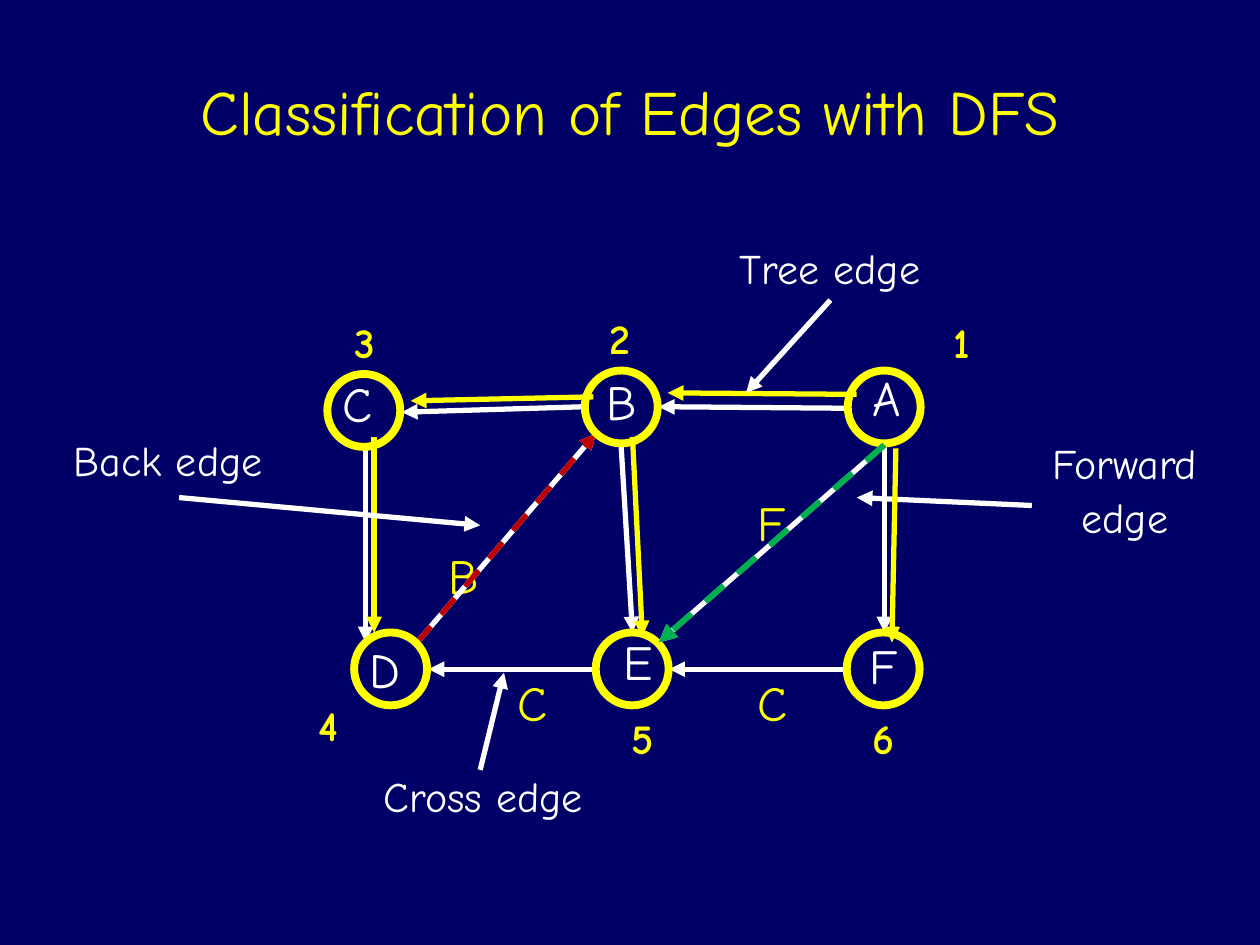
from lxml import etree
from pptx import Presentation
from pptx.dml.color import RGBColor
from pptx.enum.dml import MSO_LINE
from pptx.enum.shapes import MSO_CONNECTOR, MSO_SHAPE
from pptx.enum.text import MSO_ANCHOR, PP_ALIGN
from pptx.oxml.ns import qn
from pptx.util import Cm, Pt

STRAIGHT = MSO_CONNECTOR.STRAIGHT
OVAL = MSO_SHAPE.OVAL
DASH = MSO_LINE.DASH
CENTER = PP_ALIGN.CENTER
TOP = MSO_ANCHOR.TOP
MIDDLE = MSO_ANCHOR.MIDDLE

FONT = "Comic Neue"
NAVY, YELLOW, WHITE, RED, GREEN = "000066", "FFFF00", "FFFFFF", "C00000", "00B050"
NODE_SIZE = 1.47
TITLE_ONLY = 5

# name: (circle left, circle top, letter left, letter top, letter width)
NODES = {
    "A": (17.09, 7.47, 16.74, 7.42, 2.26),
    "B": (11.79, 7.47, 11.4, 7.49, 2.26),
    "C": (6.6, 7.54, 6.15, 7.54, 2.13),
    "D": (7.14, 12.75, 6.63, 12.9, 2.26),
    "E": (12.01, 12.75, 11.79, 12.75, 2.16),
    "F": (17.07, 12.75, 16.74, 12.83, 2.16),
}
VISIT_ORDER = [
    (18.47, 6.38), (11.58, 6.3), (6.43, 6.38),
    (5.69, 14.1), (12.04, 14.35), (16.89, 14.35),
]
EDGE_LETTERS = [
    ("B", 8.28, 11), ("C", 14.5, 13.56), ("C", 9.68, 13.56), ("F", 14.5, 9.93),
]
BACK_EDGE = (8.41, 12.95, 12.01, 8.74)
FORWARD_EDGE = (17.83, 8.97, 13.28, 12.95)
GRAPH_EDGES = [
    (12.01, 13.49, 8.64, 13.49),
    BACK_EDGE,
    FORWARD_EDGE,
    (12.52, 8.97, 12.75, 12.75),
    (17.09, 13.49, 13.49, 13.49),
    (17.83, 8.97, 17.83, 12.75),
    (11.79, 8.2, 8.1, 8.31),
    (7.37, 9.04, 7.37, 12.95),
    (17.09, 8.23, 13.28, 8.2),
]
TREE_EDGES = [
    (11.96, 8, 8.28, 8.08),
    (7.54, 8.81, 7.54, 12.75),
    (17.27, 7.95, 13.46, 7.92),
    (12.75, 8.81, 12.95, 12.83),
]
LAST_TREE_EDGE = (18.06, 9.04, 17.98, 12.95)
# text, box, arrow
CALLOUTS = [
    ("Tree edge", (13.49, 4.88, 6.48, 1.19), (16.74, 6.05, 15.04, 7.92)),
    ("Back edge", (0.15, 8.74, 6.48, 1.19), (3.61, 10.03, 9.68, 10.59)),
    ("Cross edge", (6.5, 15.52, 6.48, 1.19), (9.68, 15.52, 10.16, 13.56)),
    ("Forward\nedge", (19.96, 8.81, 5.44, 2.31), (20.8, 10.19, 17.27, 10.03)),
]


def color(value):
    return RGBColor.from_string(value)


def write(frame, text, size=24, fill=WHITE, bold=False, spacing=0.9, anchor=TOP):
    frame.vertical_anchor = anchor
    for index, line in enumerate(text.split("\n")):
        para = frame.add_paragraph() if index else frame.paragraphs[0]
        para.alignment = CENTER
        para.line_spacing = spacing
        para.space_before = Pt(size * 0.2) if index else Pt(0)
        span = para.add_run()
        span.text = line
        span.font.name = FONT
        span.font.size = Pt(size)
        span.font.bold = bold
        span.font.color.rgb = color(fill)


def add_text(page, text, left, top, width, height, wrap=True, **style):
    box = page.shapes.add_textbox(Cm(left), Cm(top), Cm(width), Cm(height))
    box.text_frame.word_wrap = wrap
    write(box.text_frame, text, **style)
    return box


def add_letter(page, text, left, top, width, fill):
    box = add_text(page, text, left, top, width, 1.32, wrap=False, size=28, fill=fill)
    box.text_frame.margin_left = box.text_frame.margin_right = Cm(0.76)


def add_arrow(page, ends, fill=WHITE, width=3, dash=None):
    arrow = page.shapes.add_connector(STRAIGHT, *map(Cm, ends))
    arrow.line.color.rgb = color(fill)
    arrow.line.width = Pt(width)
    if dash:
        arrow.line.dash_style = dash
    etree.SubElement(arrow.line._get_or_add_ln(), qn("a:tailEnd"), type="triangle")
    etree.SubElement(arrow._element.spPr, qn("a:effectLst"))


def add_node(page, left, top):
    node = page.shapes.add_shape(OVAL, Cm(left), Cm(top), Cm(NODE_SIZE), Cm(NODE_SIZE))
    node.shadow.inherit = False
    node.fill.background()
    node.line.color.rgb = color(YELLOW)
    node.line.width = Pt(4.5)


def add_title(page, text):
    title = page.shapes.title
    title.left, title.top, title.width, title.height = map(Cm, (1.9, 0.64, 21.6, 3.18))
    write(title.text_frame, text, size=36, fill=YELLOW, spacing=1, anchor=MIDDLE)


def main():
    deck = Presentation()
    deck.slide_width, deck.slide_height = Cm(25.4), Cm(19.05)
    page = deck.slides.add_slide(deck.slide_layouts[TITLE_ONLY])
    page.background.fill.solid()
    page.background.fill.fore_color.rgb = color(NAVY)
    add_title(page, "Classification of Edges with DFS")

    for letter, left, top in EDGE_LETTERS:
        add_letter(page, letter, left, top, 2.13, YELLOW)
    for ends in GRAPH_EDGES:
        add_arrow(page, ends)
    for ends in TREE_EDGES:
        add_arrow(page, ends, YELLOW)
    add_arrow(page, BACK_EDGE, RED, dash=DASH)
    for text, box, ends in CALLOUTS:
        add_text(page, text, *box)
        add_arrow(page, ends)

    for name, (left, top, letter_left, letter_top, width) in NODES.items():
        add_node(page, left, top)
        add_letter(page, name, letter_left, letter_top, width, WHITE)
    for number, (left, top) in enumerate(VISIT_ORDER, 1):
        add_text(page, str(number), left, top, 1.85, 1.17, fill=YELLOW, bold=True)
    add_arrow(page, FORWARD_EDGE, GREEN, width=3.5, dash=DASH)
    add_arrow(page, LAST_TREE_EDGE, YELLOW)

    deck.save("out.pptx")


if __name__ == "__main__":
    main()
